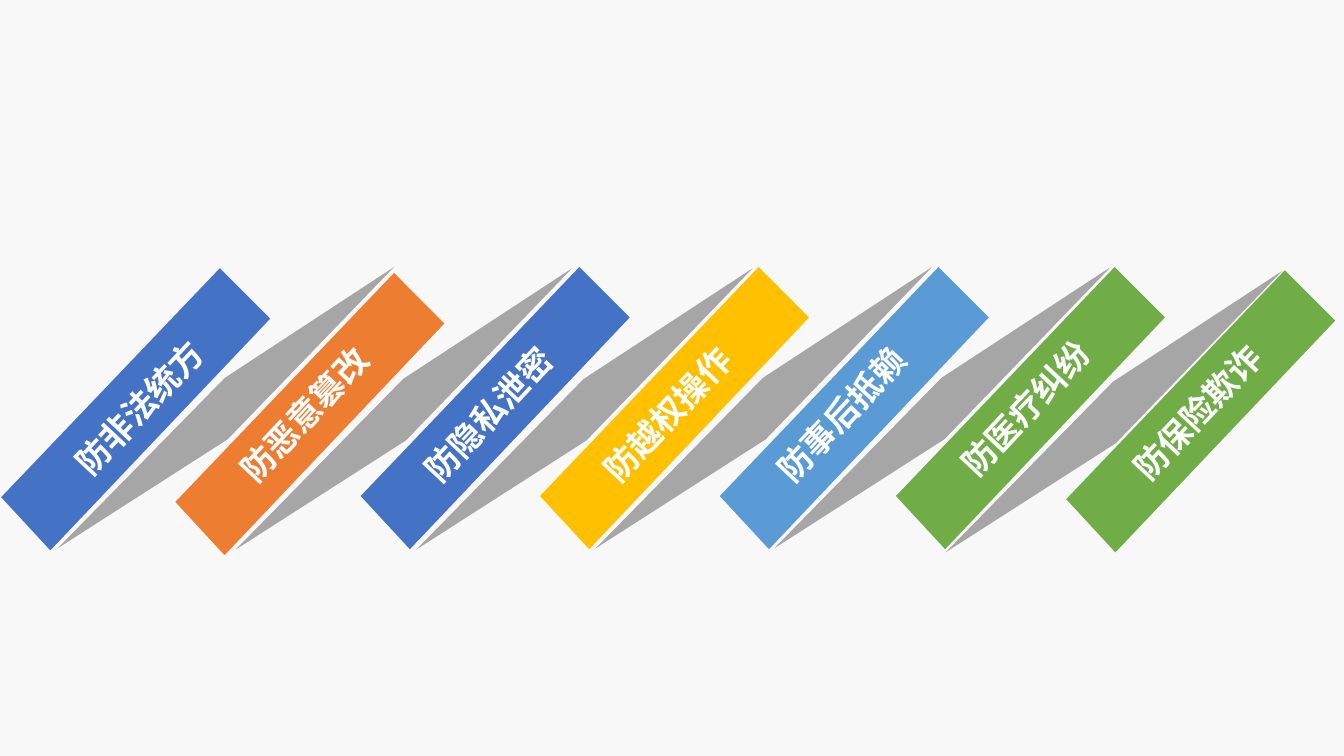
from pptx import Presentation
from pptx.dml.color import RGBColor
from pptx.enum.text import MSO_ANCHOR as Anchor, PP_ALIGN as Align
from pptx.util import Cm, Pt

FOLD = [(8.48, 0), (4.22, 2.79), (0, 7.09), (4.29, 4.34)]
BAND = [(1.24, 7.11), (0, 5.77), (5.51, 0), (6.78, 1.27)]
TILT = 313.2
GREY = "A6A6A6"

FOLDS = [(1.45, 6.73), (5.94, 6.76), (10.49, 6.76),
         (15.01, 6.73), (19.51, 6.73), (23.83, 6.83)]

# text, fill, band left and top, label centre within the band, label width
BANDS = [
    ("防非法统方", "4472C4", (0.03, 6.76), (3.49, 3.51), 4.3),
    ("防恶意篡改", "ED7D31", (4.42, 6.88), (3.24, 3.56), 4.3),
    ("防隐私泄密", "4472C4", (9.09, 6.73), (3.21, 3.71), 4.3),
    ("防越权操作", "FFC000", (13.61, 6.73), (3.21, 3.71), 4.3),
    ("防事后抵赖", "5B9BD5", (18.14, 6.73), (3.06, 3.71), 4.6),
    ("防医疗纠纷", "70AD47", (22.58, 6.73), (3.26, 3.56), 4.6),
    ("防保险欺诈", "70AD47", (26.87, 6.81), (3.29, 3.58), 4.6),
]


def paint(fill, tone):
    """Fill with one solid colour given as a hex string."""
    fill.solid()
    fill.fore_color.rgb = RGBColor.from_string(tone)


def outline(shapes, spot, points, tone):
    """Draw a closed polygon whose points are relative to spot."""
    left, top = spot
    first, *rest = [(Cm(left + x), Cm(top + y)) for x, y in points]
    pen = shapes.build_freeform(*first)
    pen.add_line_segments(rest, close=True)
    shape = pen.convert_to_shape()
    shape.shadow.inherit = False
    paint(shape.fill, tone)
    shape.line.fill.background()


def label(shapes, mid, width, text):
    """Write a tilted white label centred on mid."""
    high = 1.02
    box = shapes.add_textbox(Cm(mid[0] - width / 2), Cm(mid[1] - high / 2),
                             Cm(width), Cm(high))
    box.rotation = TILT
    frame = box.text_frame
    frame.margin_left = frame.margin_right = 0
    frame.margin_top = frame.margin_bottom = 0
    frame.vertical_anchor = Anchor.MIDDLE
    frame.word_wrap = False
    frame.text = text
    line = frame.paragraphs[0]
    line.alignment = Align.CENTER
    font = line.runs[0].font
    font.name = "Calibri"
    font.size = Pt(24)
    font.bold = True
    font.color.rgb = RGBColor.from_string("FFFFFF")


def band(slide, text, tone, spot, shift, width):
    """Group a coloured band with its label, placed from spot."""
    shapes = slide.shapes.add_group_shape().shapes
    outline(shapes, spot, BAND, tone)
    mid = (spot[0] + shift[0], spot[1] + shift[1])
    label(shapes, mid, width, text)


def ribbon(slide):
    """Lay the folds and bands, the last pair on top."""
    for spot in FOLDS[:-1]:
        outline(slide.shapes, spot, FOLD, GREY)
    for row in BANDS[:-1]:
        band(slide, *row)
    outline(slide.shapes, FOLDS[-1], FOLD, GREY)
    band(slide, *BANDS[-1])


def main():
    """Build the slide and save it."""
    deck = Presentation()
    deck.slide_width, deck.slide_height = Cm(33.87), Cm(19.05)
    slide = deck.slides.add_slide(deck.slide_layouts[6])
    paint(slide.background.fill, "F8F8F8")
    ribbon(slide)
    deck.save("out.pptx")


if __name__ == "__main__":
    main()
